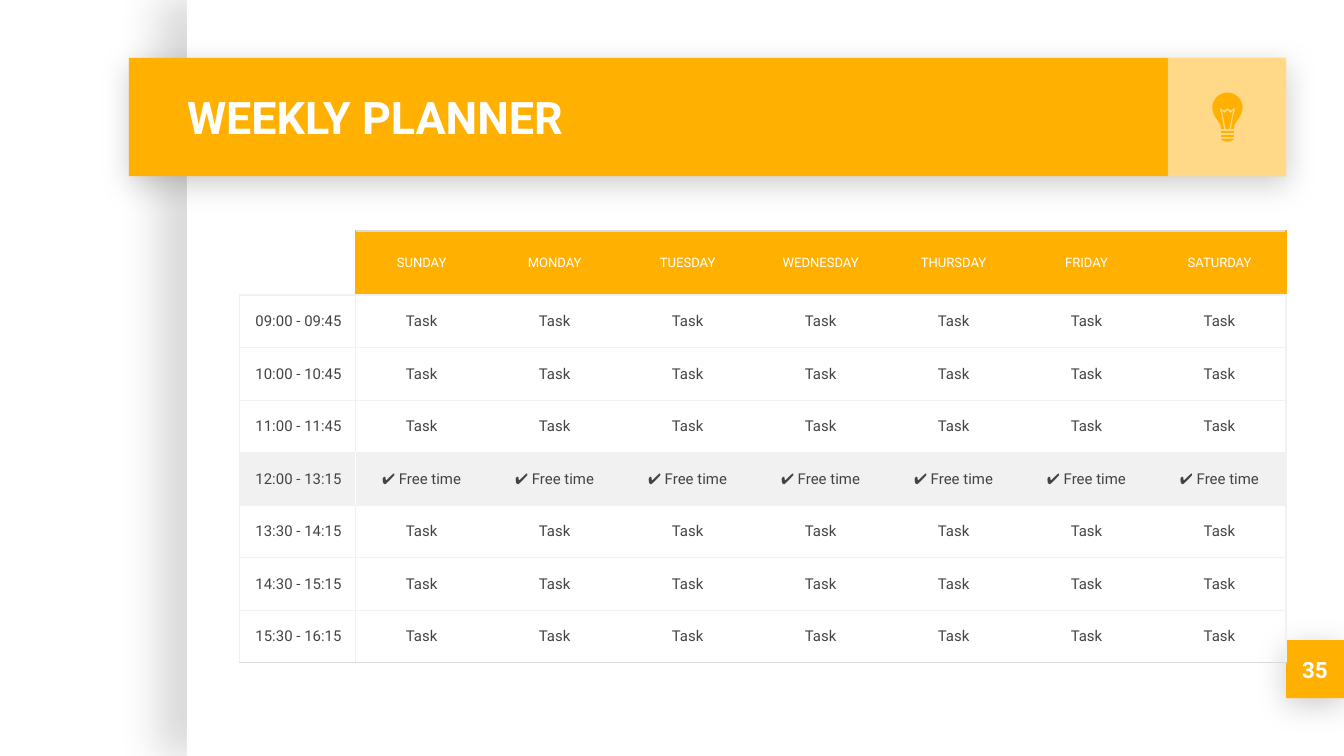
import math
from dataclasses import dataclass
from typing import Optional

from lxml import etree
from pptx import Presentation
from pptx.dml.color import RGBColor
from pptx.enum.shapes import MSO_SHAPE
from pptx.enum.text import MSO_ANCHOR, MSO_AUTO_SIZE, PP_ALIGN
from pptx.oxml.ns import qn
from pptx.util import Pt

RECTANGLE = MSO_SHAPE.RECTANGLE
MIDDLE = MSO_ANCHOR.MIDDLE
NO_AUTOFIT = MSO_AUTO_SIZE.NONE
LEFT, CENTER, RIGHT = PP_ALIGN.LEFT, PP_ALIGN.CENTER, PP_ALIGN.RIGHT

FONT = "Roboto"
COLORS = {
    "white": "FFFFFF",
    "amber": "FFB000",
    "grid": "F1F1F1",
    "edge": "D9D9D9",
    "text": "434343",
    "shadow": "000000",
}
DAYS = ["SUNDAY", "MONDAY", "TUESDAY", "WEDNESDAY", "THURSDAY", "FRIDAY", "SATURDAY"]
TIMES = ["09:00 - 09:45", "10:00 - 10:45", "11:00 - 11:45", "12:00 - 13:15",
         "13:30 - 14:15", "14:30 - 15:15", "15:30 - 16:15"]
BREAK_ROW = 4
INSET = 7.2


@dataclass
class Shadow:
    alpha: int
    blur: float
    distance: float
    direction: int


@dataclass
class Panel:
    left: float
    top: float
    width: float
    height: float
    color: str
    shadow: Optional[Shadow] = None
    alpha: int = 100


LIFTED = Shadow(20, 16.9, 3.8, 90)
PAGE = Panel(100.1, 0, 619.9, 405, "white", Shadow(15, 22.5, 15, 180))
BANNER = Panel(69.1, 31, 620, 63.4, "amber", LIFTED)
ICON_TILE = Panel(625.7, 31, 63.4, 63.4, "white", alpha=53)
NUMBER_BADGE = Panel(689, 343, 31, 31, "amber", LIFTED)

# Left halves of the bulb parts: x from its axis, y from its top, in thousandths of an inch
ICON_UNIT = Pt(0.072)
ICON_AXIS, ICON_TOP = Pt(657.6), Pt(49.6)
DOME_RADIUS = 113
DOME = [(round(-DOME_RADIUS * math.sin(math.radians(a))),
         round(DOME_RADIUS * (1 - math.cos(math.radians(a))))) for a in range(0, 91, 6)]
GLASS = DOME + [(-108, 142), (-95, 175), (-70, 212), (-54, 235), (-48, 272), (-26, 272),
                (-40, 180), (-57, 121), (-52, 114), (-45, 121), (-24, 132), (-6, 121), (0, 114)]
FILAMENT = [(0, 130), (-18, 150), (-27, 150), (-42, 131), (-14, 272)]
UPPER_THREAD = [(-46, 283), (-46, 303)]
LOWER_THREAD = [(-46, 313), (-46, 333)]
CAP = [(-46, 343), (-44, 353), (-12, 366)]


def rgb(name: str) -> RGBColor:
    return RGBColor.from_string(COLORS[name])


def add_color(parent, name: str, alpha: int) -> None:
    color = etree.SubElement(parent, qn("a:srgbClr"), val=COLORS[name])
    etree.SubElement(color, qn("a:alpha"), val=str(alpha * 1000))


def paint(shape, color: str) -> None:
    shape.shadow.inherit = False
    shape.fill.solid()
    shape.fill.fore_color.rgb = rgb(color)
    shape.line.fill.background()


def draw_panel(shapes, panel: Panel):
    shape = shapes.add_shape(RECTANGLE, Pt(panel.left), Pt(panel.top),
                             Pt(panel.width), Pt(panel.height))
    paint(shape, panel.color)
    properties = shape.element.spPr
    if panel.alpha < 100:
        fill = properties.find(qn("a:solidFill"))
        fill.clear()
        add_color(fill, panel.color, panel.alpha)
    if panel.shadow:
        outer = etree.SubElement(
            properties.find(qn("a:effectLst")), qn("a:outerShdw"),
            blurRad=str(Pt(panel.shadow.blur)), dist=str(Pt(panel.shadow.distance)),
            dir=str(panel.shadow.direction * 60000), algn="bl", rotWithShape="0")
        add_color(outer, "shadow", panel.shadow.alpha)
    return shape


def write(frame, text: str, size: float, color: str, align, bold: bool = False) -> None:
    frame.text = text
    paragraph = frame.paragraphs[0]
    paragraph.alignment = align
    font = paragraph.font
    font.name, font.size, font.bold = FONT, Pt(size), bold
    font.color.rgb = rgb(color)


def set_margins(frame) -> None:
    frame.margin_left = frame.margin_right = Pt(INSET)
    frame.margin_top = frame.margin_bottom = Pt(INSET)
    frame.vertical_anchor = MIDDLE


def set_border(cell, side: str, color: Optional[str]) -> None:
    line = etree.SubElement(cell._tc.get_or_add_tcPr(), qn(f"a:ln{side}"), w=str(Pt(0.75)))
    if color:
        fill = etree.SubElement(line, qn("a:solidFill"))
        etree.SubElement(fill, qn("a:srgbClr"), val=COLORS[color])
    else:
        etree.SubElement(line, qn("a:noFill"))


def cell_borders(row: int, column: int) -> dict[str, Optional[str]]:
    header = row == 0
    axis = "amber" if header else "white" if row == BREAK_ROW else "grid"
    outer = "amber" if header else "grid"
    return {
        "L": axis if column == 1 else "grid" if column == 0 and not header else None,
        "R": axis if column == 0 else outer if column == len(DAYS) else None,
        "T": "grid" if not header else "edge" if column else None,
        "B": "edge" if row == len(TIMES) else "grid",
    }


def draw_planner(shapes) -> None:
    header_height, row_height, time_width, day_width = 34.3, 28.15, 62.1, 71.25
    rows = [["", *DAYS]]
    for row, time in enumerate(TIMES, start=1):
        entry = "✔ Free time" if row == BREAK_ROW else "Task"
        rows.append([time] + [entry] * len(DAYS))

    planner = shapes.add_table(
        len(rows), len(rows[0]), Pt(128.2), Pt(123.8),
        Pt(time_width + day_width * len(DAYS)),
        Pt(header_height + row_height * len(TIMES))).table
    planner.first_row = planner.horz_banding = False
    for index, column in enumerate(planner.columns):
        column.width = Pt(day_width if index else time_width)
    for index, row in enumerate(planner.rows):
        row.height = Pt(row_height if index else header_height)

    for r, entries in enumerate(rows):
        for c, entry in enumerate(entries):
            cell = planner.cell(r, c)
            set_margins(cell)
            write(cell.text_frame, entry, 8 if r else 7, "text" if r else "white",
                  CENTER if c else RIGHT)
            for side, color in cell_borders(r, c).items():
                set_border(cell, side, color)
            fill = "grid" if r == BREAK_ROW else "amber" if r == 0 and c else None
            if fill:
                cell.fill.solid()
                cell.fill.fore_color.rgb = rgb(fill)
            else:
                cell.fill.background()


def draw_bulb(shapes) -> None:
    bulb = shapes.add_group_shape()
    for half in (GLASS, FILAMENT, UPPER_THREAD, LOWER_THREAD, CAP):
        outline = half + [(-x, y) for x, y in reversed(half)]
        builder = bulb.shapes.build_freeform(*outline[0], scale=ICON_UNIT)
        builder.add_line_segments(outline[1:], close=True)
        paint(builder.convert_to_shape(ICON_AXIS, ICON_TOP), "amber")


def main() -> None:
    deck = Presentation()
    deck.slide_width, deck.slide_height = Pt(720), Pt(405)
    slide = deck.slides.add_slide(deck.slide_layouts[5])
    shapes = slide.shapes

    # Page and banner
    for panel in (PAGE, BANNER, ICON_TILE):
        draw_panel(shapes, panel)

    # Title, brought in front of the banner
    title = shapes.title
    title.left, title.top, title.width, title.height = Pt(93), Pt(31), Pt(530.6), Pt(63.4)
    title.text_frame.auto_size = NO_AUTOFIT
    title.text_frame.word_wrap = True
    set_margins(title.text_frame)
    write(title.text_frame, "WEEKLY PLANNER", 24, "white", LEFT, bold=True)
    title.element.getparent().append(title.element)

    # Slide number
    badge = draw_panel(shapes, NUMBER_BADGE)
    set_margins(badge.text_frame)
    write(badge.text_frame, "35", 12, "white", CENTER, bold=True)

    # Timetable and light bulb
    draw_planner(shapes)
    draw_bulb(shapes)

    deck.save("out.pptx")


if __name__ == "__main__":
    main()
